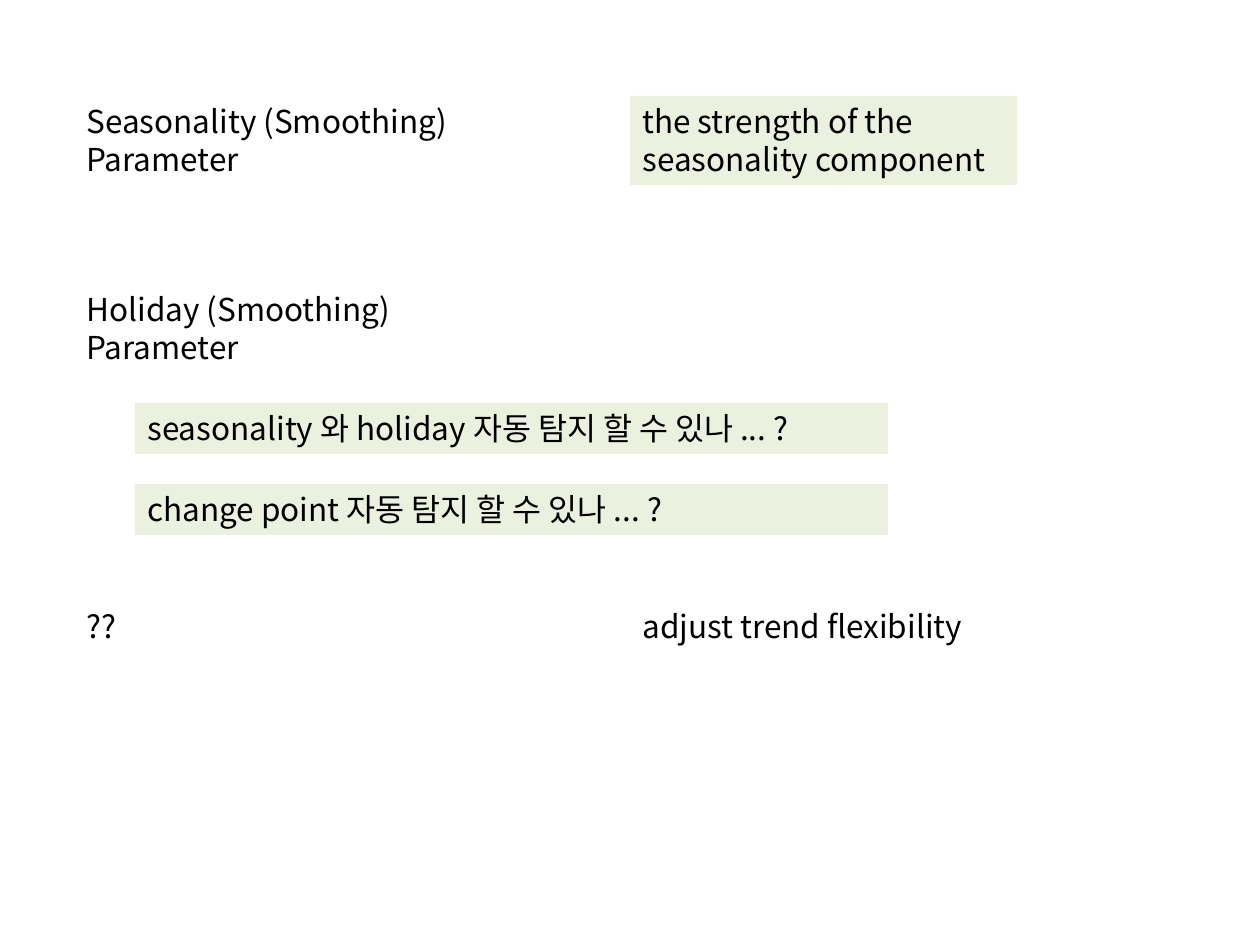
import pptx
import pptx.dml.color
import pptx.enum.shapes
import pptx.enum.text
import pptx.util
from dataclasses import dataclass


@dataclass(frozen=True)
class Theme:
    font: str = "Noto Sans CJK KR"
    size: float = 18
    line: float = 21.5
    ink: str = "000000"
    highlight: str = "EBF1DE"


theme = Theme()
PX = 914400 / 126


def px(length):
    return pptx.util.Emu(round(length * PX))


def write(box, text):
    frame = box.text_frame
    frame.word_wrap = True
    frame.vertical_anchor = pptx.enum.text.MSO_ANCHOR.TOP
    para = frame.paragraphs[0]
    para.alignment = pptx.enum.text.PP_ALIGN.LEFT
    para.line_spacing = pptx.util.Pt(theme.line)
    span = para.add_run()
    span.text = text
    span.font.name = theme.font
    span.font.size = pptx.util.Pt(theme.size)
    span.font.color.rgb = pptx.dml.color.RGBColor.from_string(theme.ink)


deck = pptx.Presentation()
deck.slide_width, deck.slide_height = px(1260), px(945)
page = deck.slides.add_slide(deck.slide_layouts[6])

# Two columns and their shared sizes
LEFT, RIGHT, COLUMN = 74, 630, 387
ONE_LINE, TWO_LINES = 51, 89
TOP_ROW, HOLIDAY_ROW, TREND_ROW = 96, 284, 601

# Plain labels
labels = [
    (LEFT, TOP_ROW, TWO_LINES, "Seasonality (Smoothing) Parameter"),
    (LEFT, HOLIDAY_ROW, TWO_LINES, "Holiday (Smoothing) Parameter"),
    (LEFT, TREND_ROW, ONE_LINE, "??"),
    (RIGHT, TREND_ROW, ONE_LINE, "adjust trend flexibility"),
]
for left, top, height, text in labels:
    label = page.shapes.add_textbox(px(left), px(top), px(COLUMN), px(height))
    write(label, text)

# Highlighted notes
QUESTION_LEFT, QUESTION_WIDTH = 135, 753
notes = [
    (RIGHT, TOP_ROW, COLUMN, TWO_LINES, "the strength of the seasonality component"),
    (QUESTION_LEFT, 403, QUESTION_WIDTH, ONE_LINE,
     "seasonality 와 holiday 자동 탐지 할 수 있나 ... ?"),
    (QUESTION_LEFT, 484, QUESTION_WIDTH, ONE_LINE,
     "change point 자동 탐지 할 수 있나 ... ?"),
]
for left, top, width, height, text in notes:
    note = page.shapes.add_shape(pptx.enum.shapes.MSO_SHAPE.RECTANGLE,
                                 px(left), px(top), px(width), px(height))
    note.shadow.inherit = False
    note.fill.solid()
    note.fill.fore_color.rgb = pptx.dml.color.RGBColor.from_string(theme.highlight)
    note.line.fill.background()
    write(note, text)

deck.save("out.pptx")
